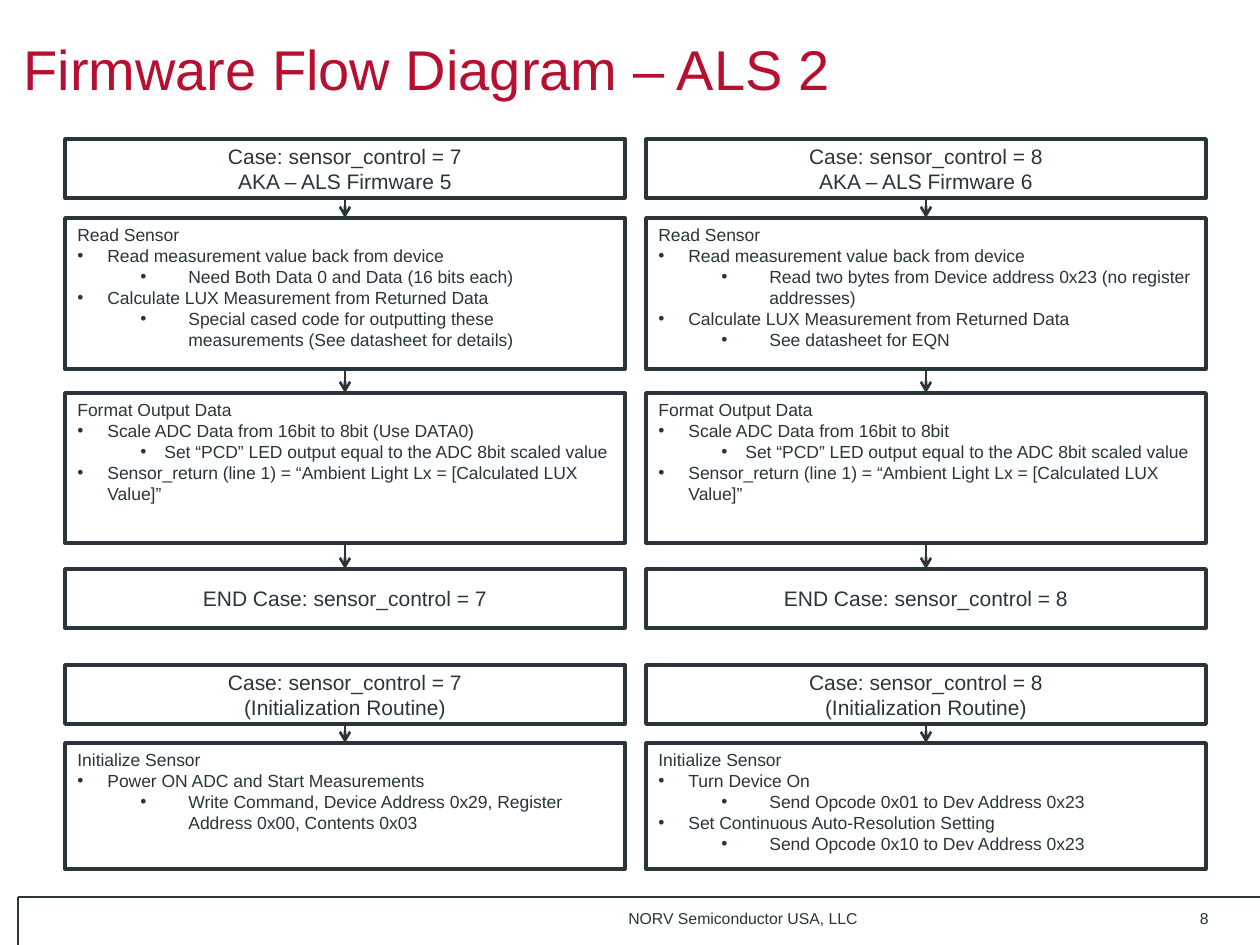
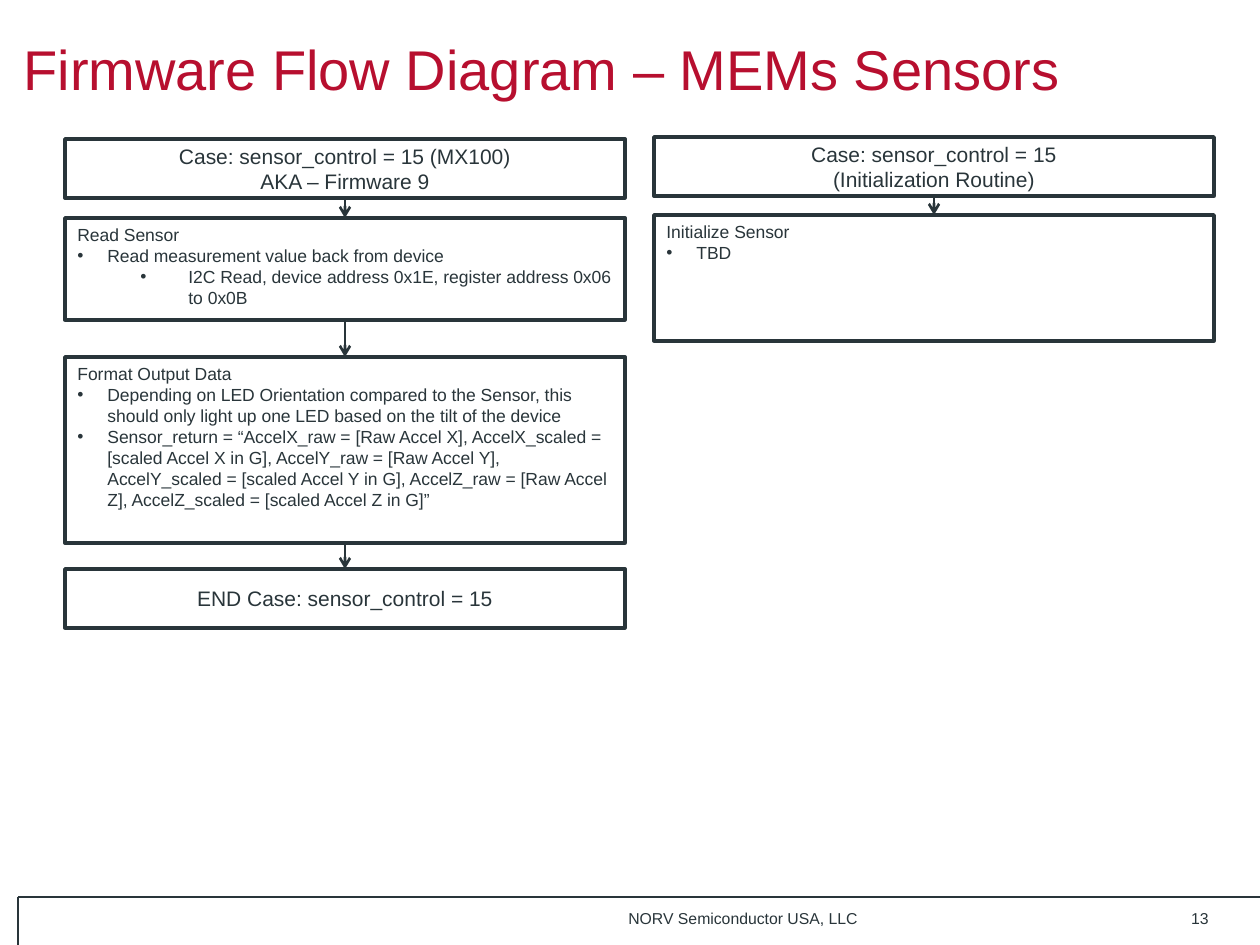
from dataclasses import dataclass
from itertools import pairwise

from lxml import etree
from pptx import Presentation
from pptx.dml.color import RGBColor
from pptx.enum.shapes import MSO_CONNECTOR, MSO_SHAPE
from pptx.enum.text import MSO_ANCHOR, PP_ALIGN
from pptx.oxml.ns import qn
from pptx.util import Emu, Pt

STRAIGHT = MSO_CONNECTOR.STRAIGHT
RECTANGLE = MSO_SHAPE.RECTANGLE
LEFT, CENTER, RIGHT = PP_ALIGN.LEFT, PP_ALIGN.CENTER, PP_ALIGN.RIGHT
TOP, MIDDLE = MSO_ANCHOR.TOP, MSO_ANCHOR.MIDDLE
BOTTOM_SIDE, TOP_SIDE = 2, 0


@dataclass(frozen=True)
class Theme:
    font: str = "Arial"
    ink: str = "29353A"
    accent: str = "B70F2F"
    paper: str = "FFFFFF"
    title_size: int = 32
    banner_size: int = 12
    detail_size: int = 10
    footer_size: int = 9
    box_line: float = 2
    arrow_line: float = 1.5
    frame_line: float = 0.75


THEME = Theme()

# Geometry in px
PX = 914400 / 126
SLIDE_WIDTH, SLIDE_HEIGHT = 1260, 945
FRAME_LEFT, FRAME_TOP = 18, 897
BOX_WIDTH, BANNER_HEIGHT = 560, 59
LEFT_COLUMN, RIGHT_COLUMN = 65, 646

# Bullet styles: level, left margin, hanging indent
BULLET = (0, 30, 30)
NESTED = (1, 111, 48)
NESTED_TIGHT = (1, 87, 24)

COMPANY = "NORV Semiconductor USA, LLC"


def px(length):
    return Emu(round(length * PX))


def color(value):
    return RGBColor.from_string(value)


# Text
def write(text_frame, text, size, ink=THEME.ink, align=LEFT, anchor=TOP):
    text_frame.text = text
    text_frame.word_wrap = True
    text_frame.vertical_anchor = anchor
    for paragraph in text_frame.paragraphs:
        paragraph.alignment = align
        for run in paragraph.runs:
            run.font.name = THEME.font
            run.font.size = Pt(size)
            run.font.color.rgb = color(ink)


def add_bullet(paragraph, style):
    level, margin, hanging = style
    paragraph.level = level
    properties = paragraph._p.get_or_add_pPr()
    properties.set("marL", str(px(margin)))
    properties.set("indent", str(-px(hanging)))
    bullet_color = etree.SubElement(properties, qn("a:buClr"))
    etree.SubElement(bullet_color, qn("a:srgbClr"), val=THEME.ink)
    etree.SubElement(properties, qn("a:buFont"), typeface=THEME.font)
    etree.SubElement(properties, qn("a:buChar"), char="•")


def add_text(slide, left, top, width, height, text, size, **style):
    shape = slide.shapes.add_textbox(px(left), px(top), px(width), px(height))
    write(shape.text_frame, text, size, **style)


# Boxes
def add_box(slide, left, top, height):
    shape = slide.shapes.add_shape(RECTANGLE, px(left), px(top), px(BOX_WIDTH), px(height))
    shape.shadow.inherit = False
    shape.fill.solid()
    shape.fill.fore_color.rgb = color(THEME.paper)
    shape.line.color.rgb = color(THEME.ink)
    shape.line.width = Pt(THEME.box_line)
    return shape


def add_banner(slide, left, top, text):
    shape = add_box(slide, left, top, BANNER_HEIGHT)
    write(shape.text_frame, text, THEME.banner_size, align=CENTER, anchor=MIDDLE)
    return shape


def add_detail(slide, left, top, height, heading, items):
    shape = add_box(slide, left, top, height)
    text = "\n".join([heading] + [item for _, item in items])
    write(shape.text_frame, text, THEME.detail_size)
    for paragraph, (style, _) in zip(shape.text_frame.paragraphs[1:], items):
        add_bullet(paragraph, style)
    return shape


# Lines
def add_line(slide, x1, y1, x2, y2, width):
    line = slide.shapes.add_connector(STRAIGHT, px(x1), px(y1), px(x2), px(y2))
    line.line.color.rgb = color(THEME.ink)
    line.line.width = Pt(width)
    etree.SubElement(line._element.spPr, qn("a:effectLst"))
    return line


def chain(slide, *boxes):
    for upper, lower in pairwise(boxes):
        arrow = add_line(slide, 0, 0, 0, 0, THEME.arrow_line)
        arrow.begin_connect(upper, BOTTOM_SIDE)
        arrow.end_connect(lower, TOP_SIDE)
        etree.SubElement(arrow.line._get_or_add_ln(), qn("a:tailEnd"), type="arrow")


# Slide parts
def start_slide(presentation, title, number):
    slide = presentation.slides.add_slide(presentation.slide_layouts[6])
    add_line(slide, FRAME_LEFT, FRAME_TOP, SLIDE_WIDTH, FRAME_TOP, THEME.frame_line)
    add_line(slide, FRAME_LEFT, FRAME_TOP, FRAME_LEFT, SLIDE_HEIGHT, THEME.frame_line)
    add_text(slide, 11, 0, 1115, 137, title, THEME.title_size,
             ink=THEME.accent, anchor=MIDDLE)
    add_text(slide, 616, 903, 280, 42, COMPANY, THEME.footer_size)
    add_text(slide, 1105, 903, 116, 42, str(number), THEME.footer_size, align=RIGHT)
    return slide


def add_case_flow(slide, left, case, alias, read_height, read_items,
                  format_top, format_items):
    number = case.split()[0]
    chain(
        slide,
        add_banner(slide, left, 139, f"Case: sensor_control = {case}\nAKA – {alias}"),
        add_detail(slide, left, 218, read_height, "Read Sensor", read_items),
        add_detail(slide, left, format_top, 543 - format_top,
                   "Format Output Data", format_items),
        add_banner(slide, left, 569, f"END Case: sensor_control = {number}"),
    )


def add_initialization(slide, left, top, case, items):
    banner = f"Case: sensor_control = {case}\n(Initialization Routine)"
    chain(
        slide,
        add_banner(slide, left, top, banner),
        add_detail(slide, left, top + 78, 126, "Initialize Sensor", items),
    )


# Slides
def add_als_slide(presentation):
    slide = start_slide(presentation, "Firmware Flow Diagram – ALS 2", 8)
    columns = [
        (LEFT_COLUMN, 7, "ALS Firmware 5",
         "Need Both Data 0 and Data (16 bits each)",
         "Special cased code for outputting these measurements (See datasheet for details)",
         " (Use DATA0)",
         [(BULLET, "Power ON ADC and Start Measurements"),
          (NESTED, "Write Command, Device Address 0x29, Register Address 0x00, "
                   "Contents 0x03")]),
        (RIGHT_COLUMN, 8, "ALS Firmware 6",
         "Read two bytes from Device address 0x23 (no register addresses)",
         "See datasheet for EQN",
         "",
         [(BULLET, "Turn Device On"),
          (NESTED, "Send Opcode 0x01 to Dev Address 0x23"),
          (BULLET, "Set Continuous Auto-Resolution Setting"),
          (NESTED, "Send Opcode 0x10 to Dev Address 0x23")]),
    ]
    for left, case, alias, read_note, lux_note, scale_note, initialization in columns:
        read_items = [
            (BULLET, "Read measurement value back from device"),
            (NESTED, read_note),
            (BULLET, "Calculate LUX Measurement from Returned Data"),
            (NESTED, lux_note),
        ]
        format_items = [
            (BULLET, f"Scale ADC Data from 16bit to 8bit{scale_note}"),
            (NESTED_TIGHT, "Set “PCD” LED output equal to the ADC 8bit scaled value"),
            (BULLET, "Sensor_return (line 1) = “Ambient Light Lx = [Calculated LUX Value]”"),
        ]
        add_case_flow(slide, left, str(case), alias, 151, read_items, 393, format_items)
        add_initialization(slide, left, 665, case, initialization)


def add_mems_slide(presentation):
    slide = start_slide(presentation, "Firmware Flow Diagram – MEMs Sensors", 13)
    read_items = [
        (BULLET, "Read measurement value back from device"),
        (NESTED, "I2C Read, device address 0x1E, register address 0x06 to 0x0B"),
    ]
    format_items = [
        (BULLET, "Depending on LED Orientation compared to the Sensor, this should "
                 "only light up one LED based on the tilt of the device"),
        (BULLET, "Sensor_return = “AccelX_raw = [Raw Accel X], AccelX_scaled = "
                 "[scaled Accel X in G], AccelY_raw = [Raw Accel Y], AccelY_scaled = "
                 "[scaled Accel Y in G], AccelZ_raw = [Raw Accel Z], AccelZ_scaled = "
                 "[scaled Accel Z in G]”"),
    ]
    add_case_flow(slide, LEFT_COLUMN, "15 (MX100)", "Firmware 9",
                  102, read_items, 357, format_items)
    add_initialization(slide, RIGHT_COLUMN + 8, 137, 15, [(BULLET, "TBD")])


def main():
    presentation = Presentation()
    presentation.slide_width = px(SLIDE_WIDTH)
    presentation.slide_height = px(SLIDE_HEIGHT)
    add_als_slide(presentation)
    add_mems_slide(presentation)
    presentation.save("out.pptx")


if __name__ == "__main__":
    main()
